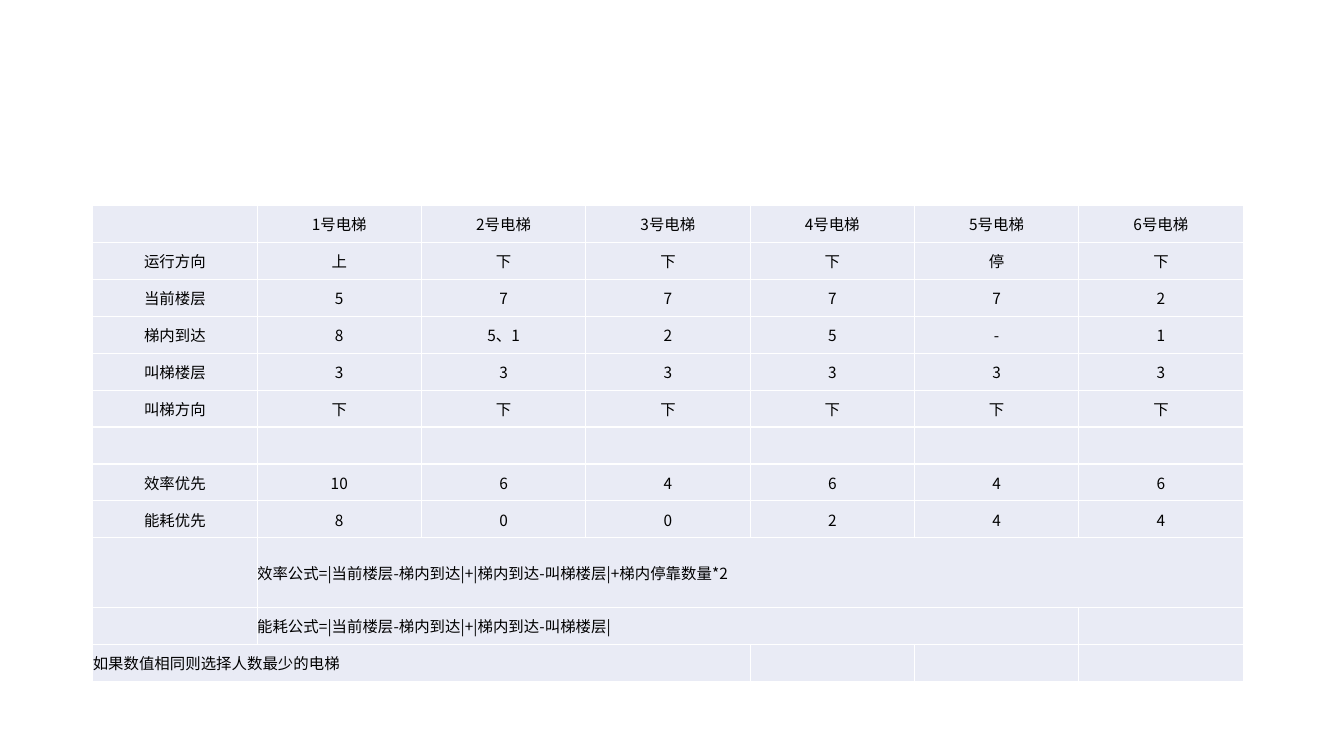
from lxml.etree import SubElement
from pptx import Presentation
from pptx.dml.color import RGBColor
from pptx.enum.text import MSO_ANCHOR as Anchor, PP_ALIGN as Align
from pptx.oxml.ns import qn
from pptx.util import Inches, Pt

COLORS = {"cell": "E9EBF5", "border": "FFFFFF", "text": "000000"}


class SlideBuilder:
    font = "Noto Sans CJK SC"
    size = 11
    border_width = 1

    def __init__(self, slide):
        self.slide = slide

    def table(self, left, top, width, heights, rows, spans):
        columns = len(rows[0])
        frame = self.slide.shapes.add_table(
            len(rows), columns, Inches(left), Inches(top),
            Inches(width), Inches(sum(heights)))
        grid = frame.table
        grid.first_row = grid.horz_banding = False
        for column in grid.columns:
            column.width = Inches(width / columns)
        for row, height in zip(grid.rows, heights):
            row.height = Inches(height)
        for r, values in enumerate(rows):
            for c in range(columns):
                value = values[c] if c < len(values) else ""
                align = Align.LEFT if (r, c) in spans else Align.CENTER
                self.cell(grid.cell(r, c), value, align)
        for (r, c), last in spans.items():
            grid.cell(r, c).merge(grid.cell(r, last))

    def cell(self, cell, value, align):
        cell.margin_left = cell.margin_right = 0
        cell.margin_top = cell.margin_bottom = 0
        cell.vertical_anchor = Anchor.MIDDLE
        self.borders(cell)
        cell.fill.solid()
        cell.fill.fore_color.rgb = RGBColor.from_string(COLORS["cell"])
        paragraph = cell.text_frame.paragraphs[0]
        paragraph.alignment = align
        if value:
            self.run(paragraph, value)
        else:
            SubElement(paragraph._p, qn("a:endParaRPr"), sz=str(self.size * 100))

    def run(self, paragraph, value):
        run = paragraph.add_run()
        run.text = value
        run.font.size = Pt(self.size)
        run.font.name = self.font
        run.font.color.rgb = RGBColor.from_string(COLORS["text"])
        SubElement(run.font._element, qn("a:ea"), typeface=self.font)

    def borders(self, cell):
        properties = cell._tc.get_or_add_tcPr()
        for side in ("a:lnL", "a:lnR", "a:lnT", "a:lnB"):
            line = SubElement(properties, qn(side), w=str(Pt(self.border_width)))
            fill = SubElement(line, qn("a:solidFill"))
            SubElement(fill, qn("a:srgbClr"), val=COLORS["border"])


ELEVATORS = 6
elevator_rows = [
    [""] + [f"{number}号电梯" for number in range(1, ELEVATORS + 1)],
    ["运行方向", "上", "下", "下", "下", "停", "下"],
    ["当前楼层", "5", "7", "7", "7", "7", "2"],
    ["梯内到达", "8", "5、1", "2", "5", "-", "1"],
    ["叫梯楼层"] + ["3"] * ELEVATORS,
    ["叫梯方向"] + ["下"] * ELEVATORS,
    [],
    ["效率优先", "10", "6", "4", "6", "4", "6"],
    ["能耗优先", "8", "0", "0", "2", "4", "4"],
    ["", "效率公式=|当前楼层-梯内到达|+|梯内到达-叫梯楼层|+梯内停靠数量*2"],
    ["", "能耗公式=|当前楼层-梯内到达|+|梯内到达-叫梯楼层|"],
    ["如果数值相同则选择人数最少的电梯"],
]
EFFICIENCY_FORMULA, ENERGY_FORMULA, TIE_RULE = 9, 10, 11
formula_spans = {(EFFICIENCY_FORMULA, 1): 6, (ENERGY_FORMULA, 1): 5, (TIE_RULE, 0): 3}

table_height, formula_height = 4.72, 0.69
row_heights = [(table_height - formula_height) / (len(elevator_rows) - 1)] * len(elevator_rows)
row_heights[EFFICIENCY_FORMULA] = formula_height

deck = Presentation()
deck.slide_width, deck.slide_height = Inches(13.33), Inches(7.5)
builder = SlideBuilder(deck.slides.add_slide(deck.slide_layouts[6]))
builder.table(0.92, 2.04, 11.41, row_heights, elevator_rows, formula_spans)
deck.save("out.pptx")
